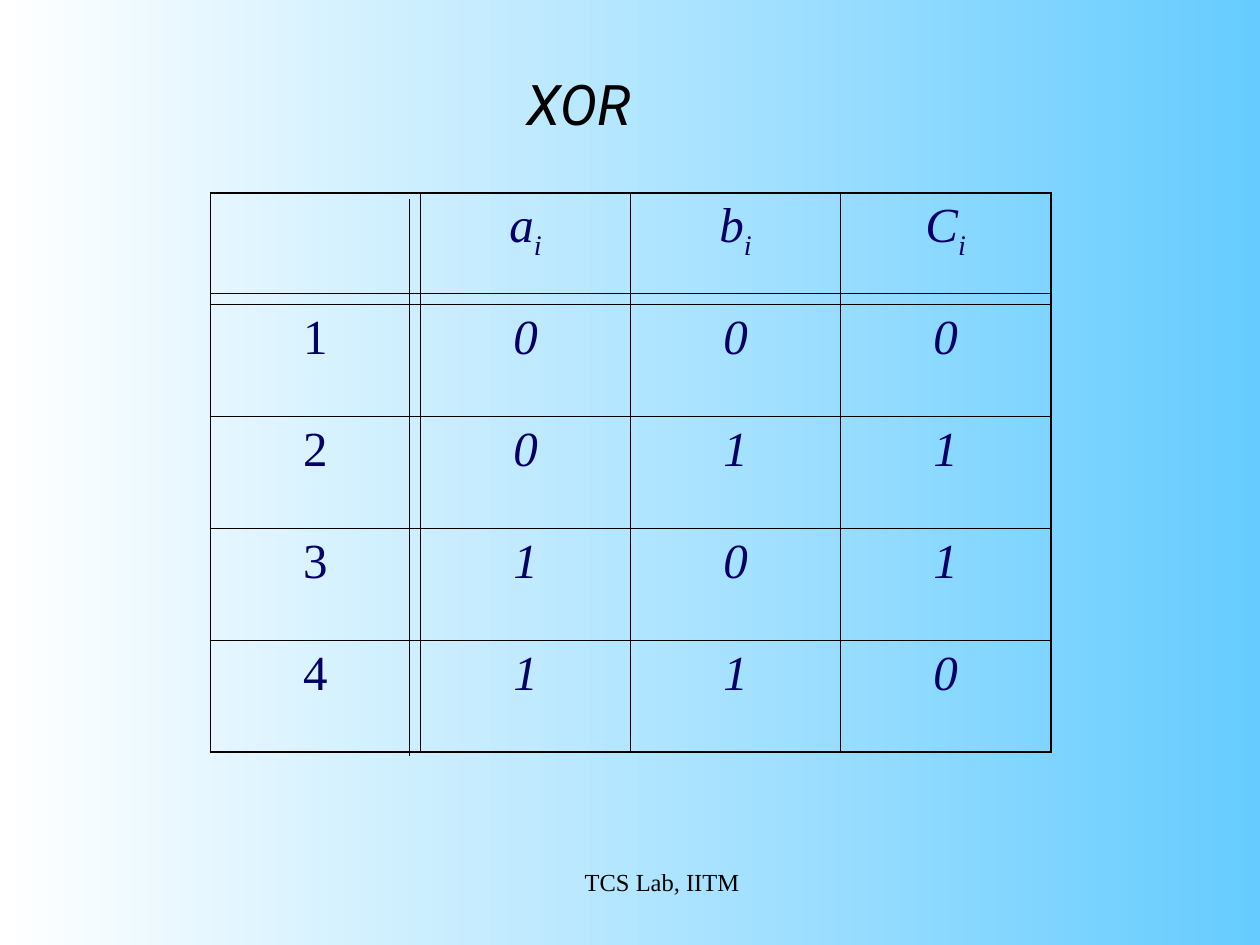
from dataclasses import dataclass
from typing import NamedTuple

from lxml import etree
from pptx import Presentation
from pptx import util as u
from pptx.dml.color import RGBColor
from pptx.enum import shapes, text
from pptx.oxml import ns


@dataclass(frozen=True)
class Theme:
    sky: RGBColor = RGBColor(0x66, 0xCC, 0xFF)
    white: RGBColor = RGBColor(0xFF, 0xFF, 0xFF)
    ink: RGBColor = RGBColor(0, 0, 0)
    navy: RGBColor = RGBColor(0, 0, 0x66)
    sans: str = "Roboto"
    serif: str = "Times New Roman"
    title_size: int = 32
    cell_size: int = 28
    footer_size: int = 14
    outer_border: float = 1.08
    inner_border: float = 0.45
    rule: float = 0.75


class Label(NamedTuple):
    words: str
    left: float
    top: float
    width: float
    height: float
    font: str
    size: int
    italic: bool
    align: text.PP_ALIGN
    space_before: int


class Rule(NamedTuple):
    x1: float
    y1: float
    x2: float
    y2: float


THEME = Theme()
LABELS = [
    Label("XOR", 4.08, 0.5, 3.58, 0.64, THEME.sans, THEME.title_size, True, text.PP_ALIGN.LEFT, 20),
    Label("TCS Lab, IITM", 3.67, 6.83, 3.17, 0.5, THEME.serif, THEME.footer_size, False,
          text.PP_ALIGN.CENTER, 0),
]
RULES = [Rule(1.67, 2.33, 8.33, 2.33), Rule(3.25, 1.58, 3.25, 6)]
VARIABLES = ["", "a", "b", "C"]
INPUTS = [(0, 0), (0, 1), (1, 0), (1, 1)]


def style_font(font, name: str, size: int, color: RGBColor, italic: bool) -> None:
    font.name = name
    font.size = u.Pt(size)
    font.italic = italic
    font.color.rgb = color


def add_label(slide, label: Label) -> None:
    box = slide.shapes.add_textbox(*map(u.Inches, label[1:5]))
    box.text_frame.word_wrap = True
    para = box.text_frame.paragraphs[0]
    para.text = label.words
    para.alignment = label.align
    para.space_before = u.Pt(label.space_before)
    style_font(para.font, label.font, label.size, THEME.ink, label.italic)


def add_rule(slide, rule: Rule) -> None:
    line = slide.shapes.add_connector(shapes.MSO_CONNECTOR.STRAIGHT, *map(u.Inches, rule))
    line.line.color.rgb = THEME.ink
    line.line.width = u.Pt(THEME.rule)
    etree.SubElement(line._element.spPr, ns.qn("a:effectLst"))


def set_borders(cell, outer: dict[str, bool]) -> None:
    properties = cell._tc.get_or_add_tcPr()
    for position, (side, is_outer) in enumerate(outer.items()):
        width = THEME.outer_border if is_outer else THEME.inner_border
        border = etree.Element(ns.qn(f"a:ln{side}"), w=str(u.Pt(width)))
        fill = etree.SubElement(border, ns.qn("a:solidFill"))
        etree.SubElement(fill, ns.qn("a:srgbClr"), val=str(THEME.ink))
        properties.insert(position, border)


def fill_cell(cell, words: str, subscript: str, italic: bool) -> None:
    cell.fill.background()
    para = cell.text_frame.paragraphs[0]
    para.alignment = text.PP_ALIGN.CENTER
    para.space_before = u.Pt(7)
    style_font(para.font, THEME.serif, THEME.cell_size, THEME.navy, italic)
    if words:
        para.add_run().text = words
    if subscript:
        span = para.add_run()
        span.text = subscript
        span.font._element.set("baseline", "-25000")


def add_truth_table(slide) -> None:
    rows = [VARIABLES] + [[number, a, b, a ^ b] for number, (a, b) in enumerate(INPUTS, 1)]
    last_row, last_column = len(rows) - 1, len(VARIABLES) - 1
    frame = slide.shapes.add_table(len(rows), len(VARIABLES), u.Inches(1.67), u.Inches(1.53),
                                   u.Inches(6.67), u.Inches(4.44))
    table = frame.table
    table.first_row = False
    table.horz_banding = False
    for r, values in enumerate(rows):
        for c, value in enumerate(values):
            cell = table.cell(r, c)
            fill_cell(cell, str(value), "i" if r == 0 and value else "", c > 0)
            set_borders(cell, {"L": c == 0, "R": c == last_column,
                               "T": r == 0, "B": r == last_row})


def main() -> None:
    deck = Presentation()
    deck.slide_width, deck.slide_height = u.Inches(10), u.Inches(7.5)
    slide = deck.slides.add_slide(deck.slide_layouts[6])
    backdrop = slide.background.fill
    backdrop.gradient()
    backdrop.gradient_angle = 180
    for stop, color in zip(backdrop.gradient_stops, (THEME.sky, THEME.white)):
        stop.color.rgb = color
    add_truth_table(slide)
    for rule in RULES:
        add_rule(slide, rule)
    for label in LABELS:
        add_label(slide, label)
    deck.save("out.pptx")


if __name__ == "__main__":
    main()
